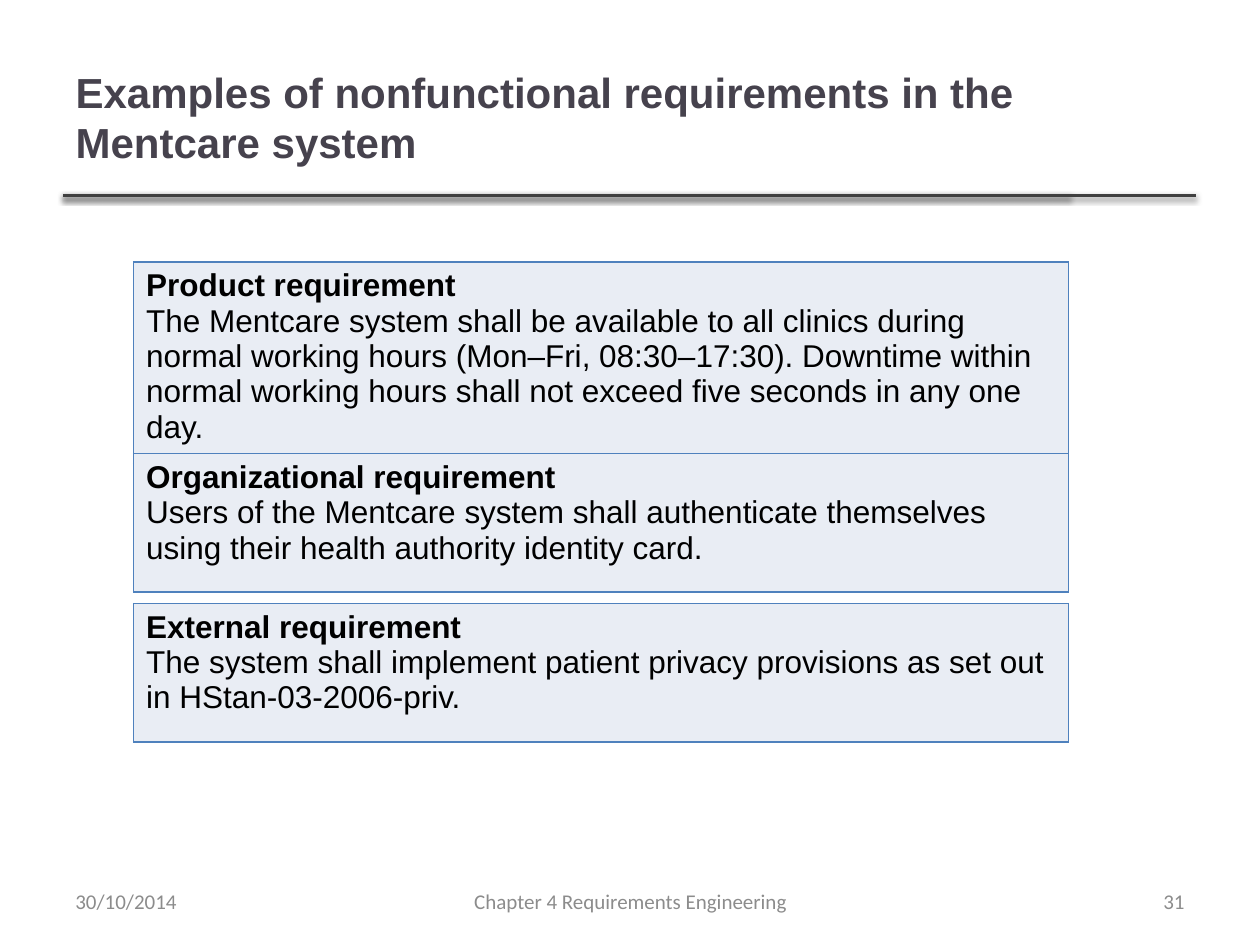
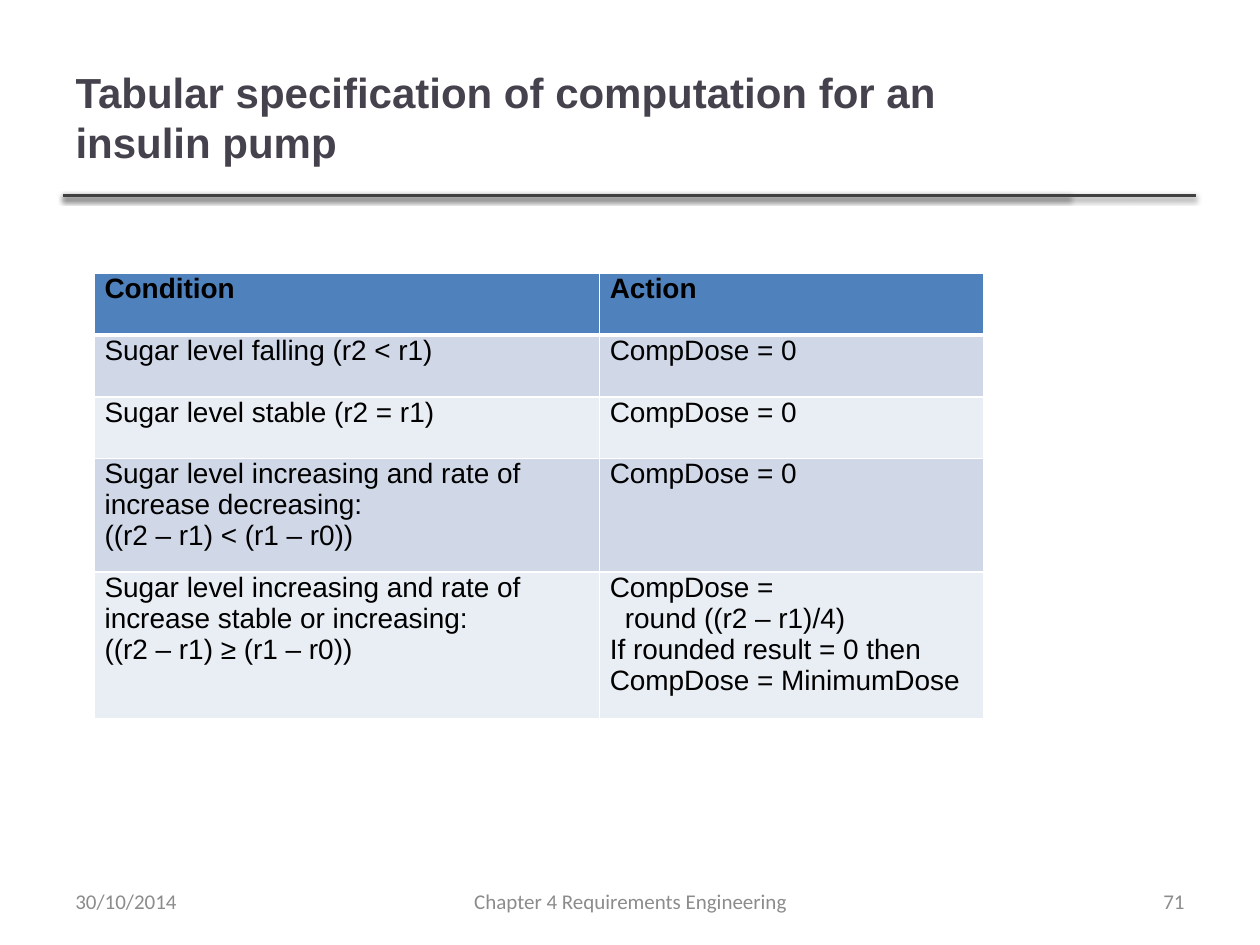
from lxml import etree
from pptx import Presentation
from pptx.dml.color import RGBColor
from pptx.enum.shapes import MSO_CONNECTOR as Connector
from pptx.enum.text import MSO_ANCHOR as Anchor, PP_ALIGN as Align
from pptx.oxml import parse_xml
from pptx.oxml.ns import nsdecls, qn
from pptx.util import Inches, Pt

TITLE_COLOR = "46424D"
RULE_COLOR = "404040"
FOOTER_COLOR = "8C8C8C"
TEXT_COLOR = "000000"
BLUE = "4F81BD"
WHITE = "FFFFFF"
DARK_BAND = "D0D8E8"
LIGHT_BAND = "E9EDF4"
DATE = "30/10/2014"
CHAPTER = "Chapter 4 Requirements Engineering"
INDENT = Inches(0.12)

REQUIREMENTS = [
    # top, height, heading, statement
    (2.08, 1.5, "Product requirement",
     "The Mentcare system shall be available to all clinics during normal "
     "working hours (Mon–Fri, 08:30–17:30). Downtime within normal working "
     "hours shall not exceed five seconds in any one day."),
    (3.6, 1.1, "Organizational requirement",
     "Users of the Mentcare system shall authenticate themselves using their "
     "health authority identity card."),
    (4.79, 1.1, "External requirement",
     "The system shall implement patient privacy provisions as set out in "
     "HStan-03-2006-priv."),
]

# A line that starts with a tab is indented.
DOSE_RULES = [
    (["Condition"], ["Action"]),
    (["Sugar level falling (r2 < r1)"], ["CompDose = 0"]),
    (["Sugar level stable (r2 = r1)"], ["CompDose = 0"]),
    (["Sugar level increasing and rate of increase decreasing:",
      "((r2 – r1) < (r1 – r0))"], ["CompDose = 0"]),
    (["Sugar level increasing and rate of increase stable or increasing:",
      "((r2 – r1) ≥ (r1 – r0))"],
     ["CompDose =", "\tround ((r2 – r1)/4)", "If rounded result = 0 then",
      "CompDose = MinimumDose"]),
]


def color(hex_string):
    return RGBColor.from_string(hex_string)


def add_span(para, text, font, size, hex_color, bold=False):
    span = para.add_run()
    span.text = text
    span.font.name = font
    span.font.size = Pt(size)
    span.font.bold = bold
    span.font.color.rgb = color(hex_color)


def add_rule(page, right):
    rule = page.shapes.add_connector(
        Connector.STRAIGHT, Inches(0.5), Inches(1.55), Inches(right), Inches(1.55))
    rule.line.color.rgb = color(RULE_COLOR)
    rule.line.width = Pt(2)
    rule._element.spPr.append(parse_xml(
        f'<a:effectLst {nsdecls("a")}>'
        f'<a:outerShdw blurRad="{Pt(3.1)}" dist="{Pt(1.6)}" dir="5400000" rotWithShape="0">'
        '<a:srgbClr val="000000"><a:alpha val="38000"/></a:srgbClr>'
        '</a:outerShdw></a:effectLst>'))


def add_footer(page, left, width, text, align):
    box = page.shapes.add_textbox(Inches(left), Inches(6.95), Inches(width), Inches(0.4))
    frame = box.text_frame
    frame.word_wrap = True
    frame.vertical_anchor = Anchor.MIDDLE
    para = frame.paragraphs[0]
    para.alignment = align
    add_span(para, text, "Calibri", 12, FOOTER_COLOR)


def add_page(deck, title_text, number):
    """Add a slide with the title, the rules below it and the footers."""
    page = deck.slides.add_slide(deck.slide_layouts.get_by_name("Title Only"))
    for right in (8.49, 9.49):
        add_rule(page, right)
    title = page.shapes.title
    title.left, title.top = Inches(0.5), Inches(0.3)
    title.width, title.height = Inches(7.98), Inches(1.25)
    title.text_frame.vertical_anchor = Anchor.MIDDLE
    para = title.text_frame.paragraphs[0]
    para.alignment = Align.LEFT
    add_span(para, title_text, "Arial", 24, TITLE_COLOR, bold=True)
    add_footer(page, 0.5, 2.33, DATE, Align.LEFT)
    add_footer(page, 3.42, 3.17, CHAPTER, Align.CENTER)
    add_footer(page, 7.17, 2.33, str(number), Align.RIGHT)
    return page


def add_grid(page, left, top, widths, heights):
    table = page.shapes.add_table(
        len(heights), len(widths), Inches(left), Inches(top),
        Inches(sum(widths)), Inches(sum(heights))).table
    table.first_row = table.horz_banding = False
    for column, width in zip(table.columns, widths):
        column.width = Inches(width)
    for row, height in zip(table.rows, heights):
        row.height = Inches(height)
    return table


def paint_cell(cell, fill, border, top=1, bottom=1):
    """Set the cell's fill and its borders, with widths in points."""
    props = cell._tc.get_or_add_tcPr()
    for side, width in (("L", 1), ("R", 1), ("T", top), ("B", bottom)):
        line = etree.SubElement(props, qn(f"a:ln{side}"), w=str(Pt(width)))
        paint = etree.SubElement(line, qn("a:solidFill"))
        etree.SubElement(paint, qn("a:srgbClr"), val=border)
    cell.fill.solid()
    cell.fill.fore_color.rgb = color(fill)


def write_cell(cell, lines, size, bold_lines=0, align=Align.LEFT):
    """Write one paragraph a line, the first bold_lines of them in bold."""
    frame = cell.text_frame
    for index, line in enumerate(lines):
        para = frame.add_paragraph() if index else frame.paragraphs[0]
        para.alignment = align
        if line.startswith("\t"):
            para._p.get_or_add_pPr().set("marL", str(INDENT))
        add_span(para, line.strip(), "Arial", size, TEXT_COLOR, index < bold_lines)


def add_requirement(page, top, height, heading, statement):
    cell = add_grid(page, 1.06, top, [7.42], [height]).cell(0, 0)
    paint_cell(cell, LIGHT_BAND, BLUE)
    write_cell(cell, [heading, statement], 18, bold_lines=1)


def add_dose_table(page, left, top):
    table = add_grid(page, left, top, [4.01, 3.05], [0.49, 0.49, 0.49, 0.84, 1.08])
    for row, rule in enumerate(DOSE_RULES):
        header = row == 0
        fill = BLUE if header else DARK_BAND if row % 2 else LIGHT_BAND
        for column, lines in enumerate(rule):
            cell = table.cell(row, column)
            cell.margin_left = cell.margin_right = Inches(0.08)
            cell.margin_top, cell.margin_bottom = 0, Inches(0.1)
            paint_cell(cell, fill, WHITE, top=3 if row == 1 else 1,
                       bottom=3 if header else 1)
            write_cell(cell, lines, 16, int(header),
                       Align.JUSTIFY if header else Align.LEFT)


def main():
    deck = Presentation()
    deck.slide_width, deck.slide_height = Inches(10), Inches(7.5)
    examples = add_page(
        deck, "Examples of nonfunctional requirements in the Mentcare system", 31)
    for requirement in REQUIREMENTS:
        add_requirement(examples, *requirement)
    pump = add_page(deck, "Tabular specification of computation for an insulin pump", 71)
    add_dose_table(pump, 0.75, 2.17)
    deck.save("out.pptx")


if __name__ == "__main__":
    main()
